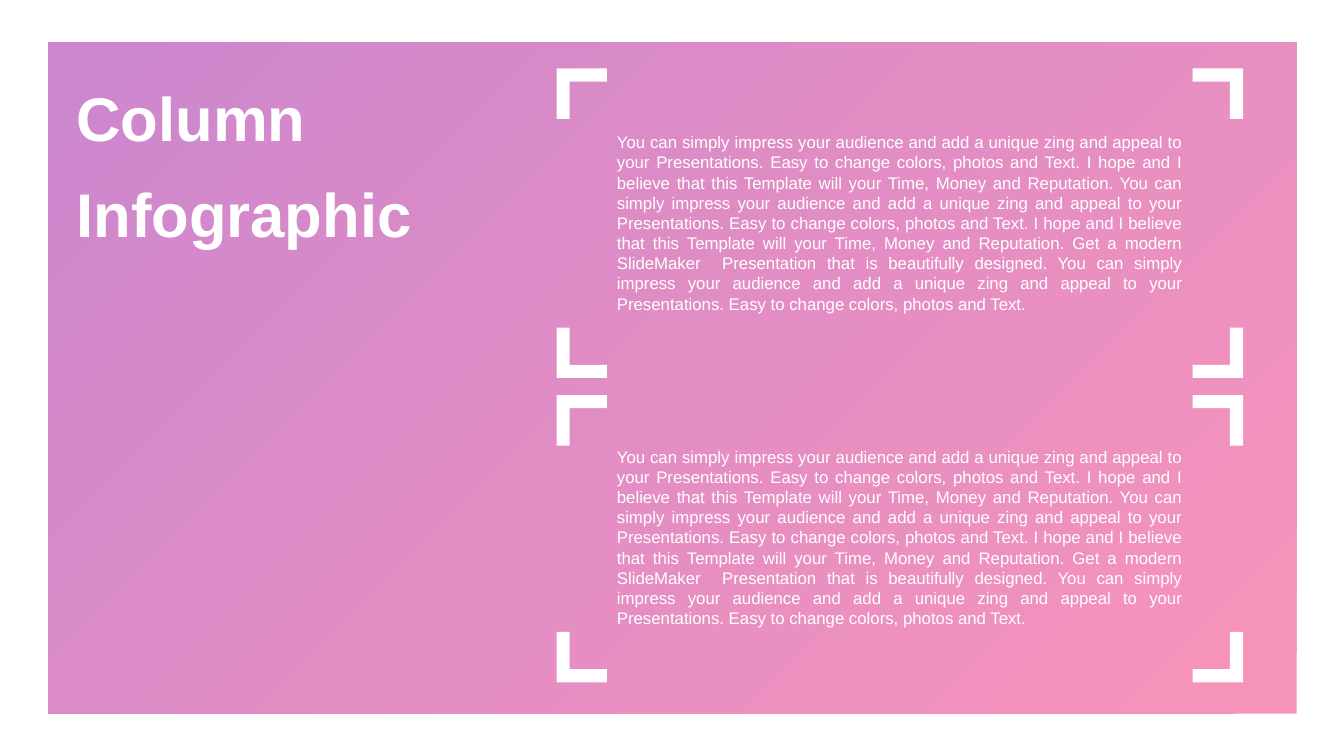
from dataclasses import dataclass

from lxml import etree
from pptx import Presentation
from pptx import util as u
from pptx.dml.color import RGBColor
from pptx.enum import shapes, text
from pptx.oxml import ns

PX = 9144
FONT = "Arial"
HUES = {"white": "FFFFFF", "pink": "F5679D", "plum": "B754BA"}
BODY = (
    "You can simply impress your audience and add a unique zing and appeal to "
    "your Presentations. Easy to change colors, photos and Text. I hope and I "
    "believe that this Template will your Time, Money and Reputation. You can "
    "simply impress your audience and add a unique zing and appeal to your "
    "Presentations. Easy to change colors, photos and Text. I hope and I believe "
    "that this Template will your Time, Money and Reputation. Get a modern "
    "SlideMaker  Presentation that is beautifully designed. You can simply "
    "impress your audience and add a unique zing and appeal to your "
    "Presentations. Easy to change colors, photos and Text."
)
SIDE, THICK = 50, 13


@dataclass(frozen=True)
class Box:
    x: int
    y: int
    w: int
    h: int

    def emu(self) -> tuple[int, int, int, int]:
        return self.x * PX, self.y * PX, self.w * PX, self.h * PX


@dataclass(frozen=True)
class Panel:
    edge: Box
    body: Box


PANELS = [
    Panel(Box(552, 68, 681, 307), Box(602, 126, 581, 192)),
    Panel(Box(552, 392, 681, 285), Box(602, 438, 581, 192)),
]


def color(name: str) -> RGBColor:
    return RGBColor.from_string(HUES[name])


def draw_back(slide, box: Box) -> None:
    back = slide.shapes.add_shape(shapes.MSO_SHAPE.RECTANGLE, *box.emu())
    back.shadow.inherit = False
    back.line.fill.background()
    back.fill.gradient()
    back.fill.gradient_angle = 135
    for stop, name, place in zip(back.fill.gradient_stops, ("pink", "plum"), (0, 1)):
        stop.color.rgb = color(name)
        stop.position = place
    for tone in back._element.spPr.iter(ns.qn("a:srgbClr")):
        etree.SubElement(tone, ns.qn("a:alpha"), val="70000")


def draw_corner(slide, x: int, y: int, across: int, down: int) -> None:
    steps = [(SIDE, 0), (SIDE, THICK), (THICK, THICK), (THICK, SIDE), (0, SIDE)]
    path = slide.shapes.build_freeform(x, y, scale=PX)
    path.add_line_segments([(x + across * dx, y + down * dy) for dx, dy in steps])
    mark = path.convert_to_shape()
    mark.shadow.inherit = False
    mark.line.fill.background()
    mark.fill.solid()
    mark.fill.fore_color.rgb = color("white")


def add_text(slide, box: Box, words: str, size: int, bold: bool = False):
    frame = slide.shapes.add_textbox(*box.emu()).text_frame
    frame.word_wrap = True
    frame.text = words
    for para in frame.paragraphs:
        for run in para.runs:
            run.font.name = FONT
            run.font.size = u.Pt(size)
            run.font.bold = bold
            run.font.color.rgb = color("white")
    return frame


def draw_panel(slide, panel: Panel) -> None:
    frame = add_text(slide, panel.body, BODY, 12)
    frame.auto_size = text.MSO_AUTO_SIZE.SHAPE_TO_FIT_TEXT
    frame.paragraphs[0].alignment = text.PP_ALIGN.JUSTIFY
    edge = panel.edge
    for x, across in ((edge.x, 1), (edge.x + edge.w, -1)):
        for y, down in ((edge.y, 1), (edge.y + edge.h, -1)):
            draw_corner(slide, x, y, across, down)


def draw_title(slide, box: Box) -> None:
    frame = add_text(slide, box, "Column\nInfographic", 44, True)
    frame.vertical_anchor = text.MSO_ANCHOR.MIDDLE
    for para in frame.paragraphs:
        para.line_spacing = 1.1
    frame.paragraphs[1].space_before = u.Pt(10)


def main() -> None:
    deck = Presentation()
    deck.slide_width = 1333 * PX
    deck.slide_height = 750 * PX
    slide = deck.slides.add_slide(deck.slide_layouts[6])
    draw_back(slide, Box(48, 42, 1238, 666))
    for panel in PANELS:
        draw_panel(slide, panel)
    draw_title(slide, Box(66, 62, 482, 196))
    deck.save("out.pptx")


if __name__ == "__main__":
    main()
